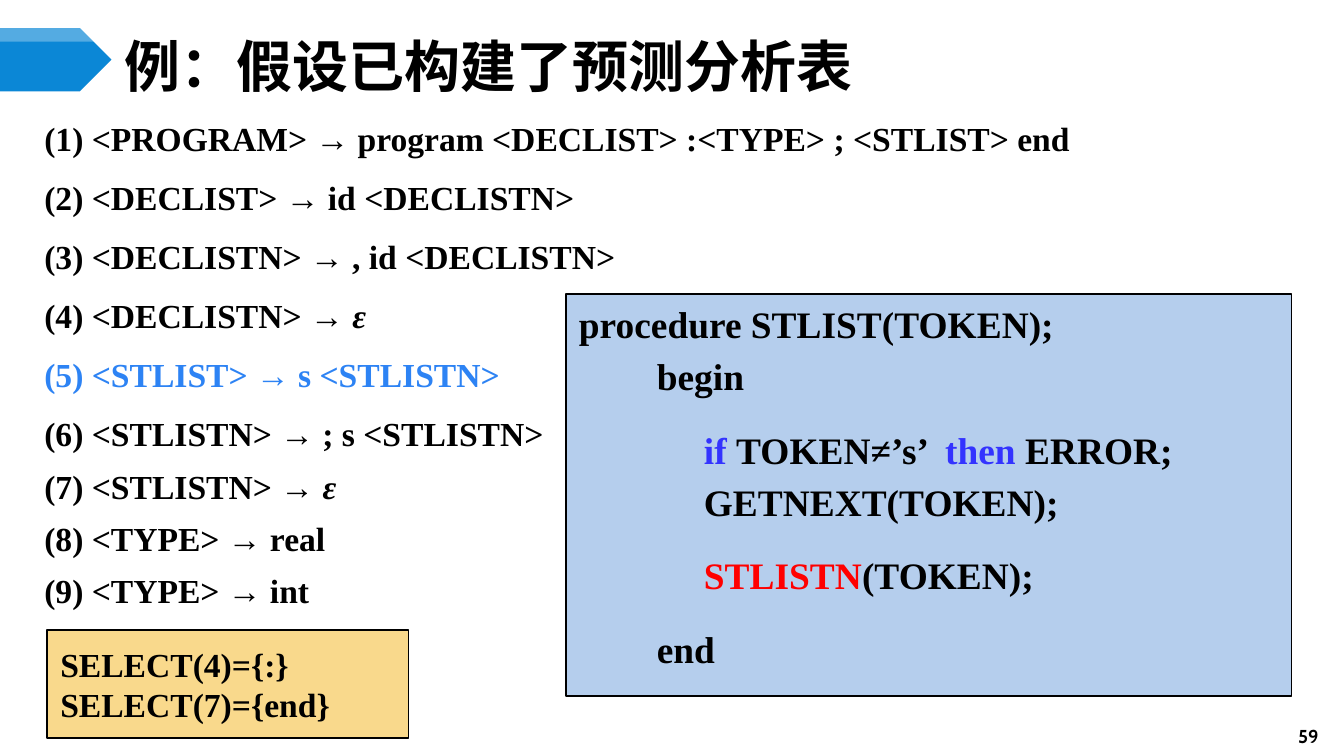
from dataclasses import dataclass

from lxml import etree
from pptx import Presentation
from pptx import util as u
from pptx.dml.color import RGBColor
from pptx.enum import shapes, text
from pptx.oxml import ns


@dataclass(frozen=True)
class Theme:
    black: str = "000000"
    white: str = "FFFFFF"
    plate: str = "0B87D6"
    highlight: str = "2D83F4"
    keyword: str = "3333FF"
    call: str = "FF0000"
    code_fill: str = "B5CEED"
    select_fill: str = "F9D98C"
    serif: str = "Times New Roman"
    cjk: str = "Noto Sans CJK SC"
    number_font: str = "Cabin"
    title_size: int = 30
    code_size: int = 20
    rule_size: int = 18
    number_size: int = 10


THEME = Theme()

# Each rule: left side, right side
RULES = [
    ("PROGRAM", "program <DECLIST> :<TYPE> ; <STLIST> end"),
    ("DECLIST", "id <DECLISTN>"),
    ("DECLISTN", ", id <DECLISTN>"),
    ("DECLISTN", "ε"),
    ("STLIST", "s <STLISTN>"),
    ("STLISTN", "; s <STLISTN>"),
    ("STLISTN", "ε"),
    ("TYPE", "real"),
    ("TYPE", "int"),
]
CURRENT_RULE = 5
LAST_SPACED_RULE = 6

# Space before a code line, in points
NEAR, FAR = 4, 15.4

# Each code line: indent in inches, space before, (words, colour) spans
CODE = [
    (0, 0, [("procedure STLIST(TOKEN);", THEME.black)]),
    (0.58, NEAR, [("begin", THEME.black)]),
    (0.93, FAR, [("if ", THEME.keyword), ("TOKEN≠’s’  ", THEME.black),
                 ("then ", THEME.keyword), ("ERROR;", THEME.black)]),
    (0.93, NEAR, [("GETNEXT(TOKEN);", THEME.black)]),
    (0.93, FAR, [("STLISTN", THEME.call), ("(TOKEN);", THEME.black)]),
    (0.58, FAR, [("end", THEME.black)]),
]


def place(shape, left, top, width, height):
    shape.left, shape.top = u.Inches(left), u.Inches(top)
    shape.width, shape.height = u.Inches(width), u.Inches(height)


def style(span, size, font=THEME.serif, color=THEME.black, italic=False):
    span.font.size = u.Pt(size)
    span.font.name = font
    span.font.bold = True
    span.font.italic = italic
    span.font.color.rgb = RGBColor.from_string(color)


def add_span(para, words, size, color=THEME.black, italic=False):
    span = para.add_run()
    span.text = words
    style(span, size, color=color, italic=italic)


def next_para(frame, index):
    return frame.paragraphs[0] if index == 0 else frame.add_paragraph()


def set_indent(para, left, hanging=0):
    """Set the left margin and hanging indent in inches, without a bullet."""
    props = para._p.get_or_add_pPr()
    props.set("marL", str(u.Inches(left)))
    props.set("indent", str(-u.Inches(hanging)))
    etree.SubElement(props, ns.qn("a:buNone"))


def fill_plain(shape, color):
    shape.shadow.inherit = False
    shape.fill.solid()
    shape.fill.fore_color.rgb = RGBColor.from_string(color)
    shape.line.fill.background()


def add_panel(page, left, top, width, height, color, anchor):
    panel = page.shapes.add_shape(
        shapes.MSO_SHAPE.RECTANGLE, *map(u.Inches, (left, top, width, height)))
    fill_plain(panel, color)
    panel.line.color.rgb = RGBColor.from_string(THEME.black)
    panel.line.width = u.Pt(1)
    panel.text_frame.word_wrap = True
    panel.text_frame.vertical_anchor = anchor
    return panel.text_frame


def add_title_marker(page):
    """Draw the arrow plate with a translucent strip along its top."""
    plate = page.shapes.add_shape(
        shapes.MSO_SHAPE.PENTAGON, *map(u.Inches, (0, 0.21, 0.83, 0.47)))
    fill_plain(plate, THEME.plate)
    builder = page.shapes.build_freeform(0, u.Inches(0.21))
    corners = [(0.6, 0.21), (0.7, 0.31), (0, 0.31)]
    builder.add_line_segments([(u.Inches(x), u.Inches(y)) for x, y in corners])
    strip = builder.convert_to_shape()
    fill_plain(strip, THEME.white)
    color = strip._element.spPr.find(".//" + ns.qn("a:srgbClr"))
    etree.SubElement(color, ns.qn("a:alpha")).set("val", "30000")


def write_title(title):
    place(title, 0.83, 0.29, 5.83, 0.39)
    frame = title.text_frame
    frame.text = "例：假设已构建了预测分析表"
    frame.auto_size = text.MSO_AUTO_SIZE.NONE
    frame.vertical_anchor = text.MSO_ANCHOR.MIDDLE
    para = frame.paragraphs[0]
    para.alignment = text.PP_ALIGN.LEFT
    span = para.runs[0]
    style(span, THEME.title_size, THEME.cjk)
    latin = span.font._element.find(ns.qn("a:latin"))
    east_asian = etree.Element(ns.qn("a:ea"))
    east_asian.set("typeface", THEME.cjk)
    latin.addnext(east_asian)


def write_rules(body):
    place(body, 0.23, 0.74, 9.53, 3.9)
    frame = body.text_frame
    frame.auto_size = text.MSO_AUTO_SIZE.NONE
    for index, (left_side, right_side) in enumerate(RULES):
        number = index + 1
        para = next_para(frame, index)
        set_indent(para, 0.38, 0.38)
        para.line_spacing = u.Pt(28)
        para.space_before = u.Pt(3.6 if 1 < number <= LAST_SPACED_RULE else 0)
        color = THEME.highlight if number == CURRENT_RULE else THEME.black
        add_span(para, f"({number}) <{left_side}> → ", THEME.rule_size, color)
        add_span(para, right_side, THEME.rule_size, color, right_side == "ε")


def add_code(page):
    frame = add_panel(page, 4.21, 2.19, 5.4, 2.99, THEME.code_fill, text.MSO_ANCHOR.TOP)
    for index, (indent, before, spans) in enumerate(CODE):
        para = next_para(frame, index)
        set_indent(para, indent)
        para.alignment = text.PP_ALIGN.LEFT
        para.space_before = u.Pt(before)
        for words, color in spans:
            add_span(para, words, THEME.code_size, color)


def add_select_sets(page):
    frame = add_panel(page, 0.35, 4.69, 2.69, 0.8, THEME.select_fill, text.MSO_ANCHOR.MIDDLE)
    frame.text = "SELECT(4)={:}\nSELECT(7)={end}"
    for para in frame.paragraphs:
        para.alignment = text.PP_ALIGN.LEFT
        style(para.runs[0], THEME.rule_size)


def add_page_number(page):
    box = page.shapes.add_textbox(*map(u.Inches, (9.47, 5.32, 0.53, 0.31)))
    frame = box.text_frame
    frame.word_wrap = True
    frame.vertical_anchor = text.MSO_ANCHOR.MIDDLE
    frame.text = "59"
    para = frame.paragraphs[0]
    para.alignment = text.PP_ALIGN.CENTER
    style(para.runs[0], THEME.number_size, THEME.number_font)


def main():
    deck = Presentation()
    deck.slide_width = u.Inches(10)
    deck.slide_height = deck.slide_width * 9 // 16
    page = deck.slides.add_slide(deck.slide_layouts[1])
    add_title_marker(page)
    write_title(page.shapes.title)
    write_rules(page.placeholders[1])
    add_code(page)
    add_select_sets(page)
    add_page_number(page)
    deck.save("out.pptx")


if __name__ == "__main__":
    main()
